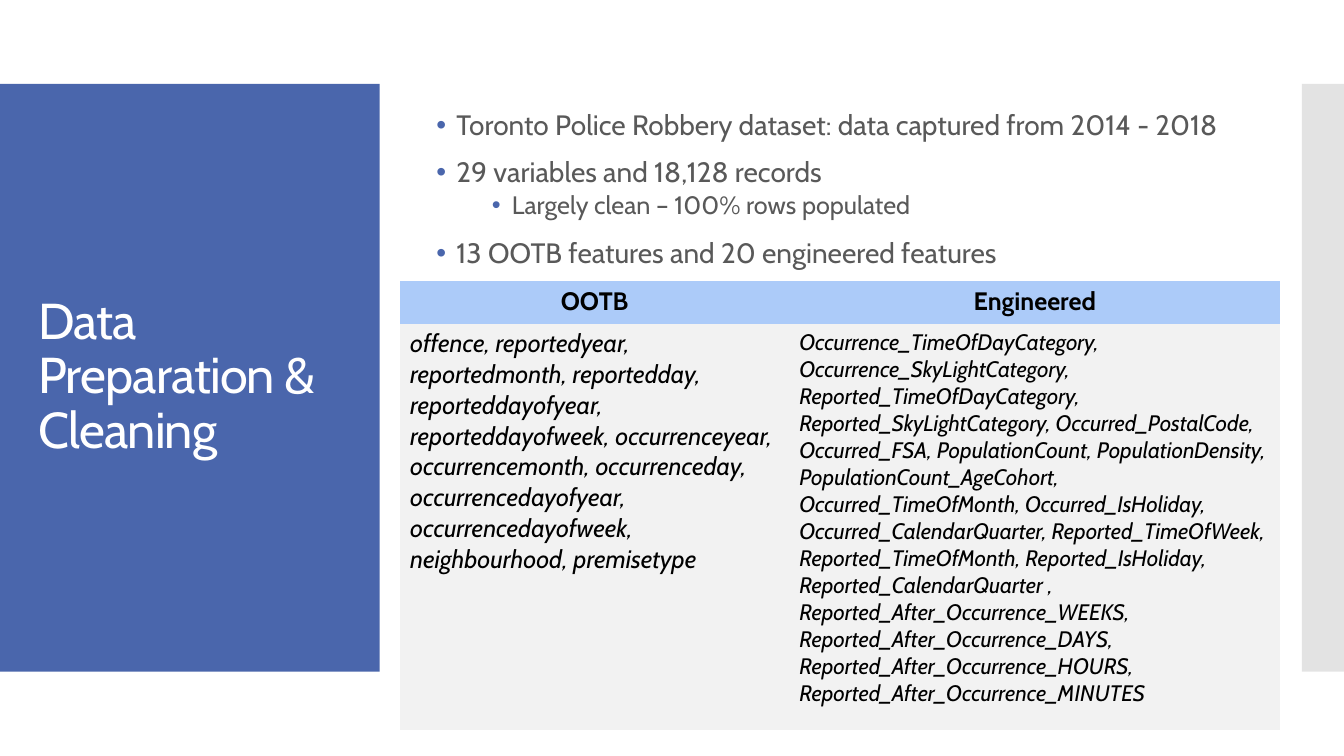
"""Build the data preparation and cleaning slide."""
from dataclasses import dataclass

from lxml import etree
from pptx import Presentation
from pptx.dml.color import RGBColor
from pptx.enum.shapes import MSO_SHAPE
from pptx.enum.text import MSO_ANCHOR, MSO_AUTO_SIZE, PP_ALIGN
from pptx.oxml.ns import qn
from pptx.util import Pt

RECTANGLE = MSO_SHAPE.RECTANGLE
MIDDLE = MSO_ANCHOR.MIDDLE
NO_AUTOFIT = MSO_AUTO_SIZE.NONE
LEFT, CENTER = PP_ALIGN.LEFT, PP_ALIGN.CENTER

FONT = "Cabin"
BLUE = RGBColor(0x4A, 0x66, 0xAC)
SIDE_GRAY = RGBColor(0xC8, 0xC8, 0xC8)
TEXT_GRAY = RGBColor(0x59, 0x59, 0x59)
HEADER_BLUE = RGBColor(0xAC, 0xCB, 0xF9)
CELL_GRAY = RGBColor(0xF2, 0xF2, 0xF2)
BLACK = RGBColor(0, 0, 0)
WHITE = RGBColor(0xFF, 0xFF, 0xFF)


@dataclass(frozen=True)
class Panel:
    left: float
    width: float
    color: RGBColor
    opacity: int = 100


@dataclass(frozen=True)
class Bullet:
    text: str
    size: float = 20
    level: int = 0
    indent: float = 14.4
    before: float = 12
    after: float = 0


@dataclass(frozen=True)
class FeatureColumn:
    heading: str
    features: str
    width: float
    size: float


PANELS = (Panel(0, 271.2, BLUE), Panel(930, 30, SIDE_GRAY, 50))

BULLETS = (
    Bullet("Toronto Police Robbery dataset: data captured from 2014 - 2018"),
    Bullet("29 variables and 18,128 records"),
    Bullet("Largely clean – 100% rows populated", 18, 1, 54, 2.5, 2.5),
    Bullet("13 OOTB features and 20 engineered features"),
)

COLUMNS = (
    FeatureColumn(
        "OOTB",
        "offence, reportedyear, reportedmonth, reportedday, reporteddayofyear, "
        "reporteddayofweek, occurrenceyear, occurrencemonth, occurrenceday, "
        "occurrencedayofyear, occurrencedayofweek, neighbourhood, premisetype",
        278, 18),
    FeatureColumn(
        "Engineered",
        "Occurrence_TimeOfDayCategory, Occurrence_SkyLightCategory, "
        "Reported_TimeOfDayCategory, Reported_SkyLightCategory, "
        "Occurred_PostalCode, Occurred_FSA, PopulationCount, PopulationDensity, "
        "PopulationCount_AgeCohort, Occurred_TimeOfMonth, Occurred_IsHoliday, "
        "Occurred_CalendarQuarter, Reported_TimeOfWeek, Reported_TimeOfMonth, "
        "Reported_IsHoliday, Reported_CalendarQuarter , "
        "Reported_After_Occurrence_WEEKS, Reported_After_Occurrence_DAYS, "
        "Reported_After_Occurrence_HOURS, Reported_After_Occurrence_MINUTES",
        350.8, 16),
)
ROW_HEIGHTS = (30.2, 290.2)


def style_span(span, size: float, color: RGBColor,
               bold: bool = False, italic: bool = False) -> None:
    font = span.font
    font.name, font.size = FONT, Pt(size)
    font.bold, font.italic = bold, italic
    font.color.rgb = color


def add_panel(page, panel: Panel) -> None:
    box = page.shapes.add_shape(
        RECTANGLE, Pt(panel.left), Pt(60), Pt(panel.width), Pt(419.8))
    box.shadow.inherit = False
    box.line.fill.background()
    box.fill.solid()
    box.fill.fore_color.rgb = panel.color
    if panel.opacity < 100:
        color = box.fill._xPr.find(f".//{qn('a:srgbClr')}")
        etree.SubElement(color, qn("a:alpha"), val=str(panel.opacity * 1000))


def place_title(page, text: str) -> None:
    title = page.shapes.title
    title.left, title.top = Pt(20.2), Pt(88.6)
    title.width, title.height = Pt(231.8), Pt(362.2)
    frame = title.text_frame
    frame.text = text
    frame.word_wrap, frame.auto_size = True, NO_AUTOFIT
    frame.vertical_anchor = MIDDLE
    para = frame.paragraphs[0]
    para.alignment, para.line_spacing = LEFT, 0.9
    span = para.runs[0]
    style_span(span, 36, WHITE)
    span.font._element.set("spc", "-60")


def format_bullet(para, bullet: Bullet) -> None:
    para.text, para.level = bullet.text, bullet.level
    para.alignment, para.line_spacing = LEFT, 0.9
    para.space_before, para.space_after = Pt(bullet.before), Pt(bullet.after)
    style_span(para.runs[0], bullet.size, TEXT_GRAY)
    settings = para._p.get_or_add_pPr()
    settings.set("marL", str(Pt(bullet.indent)))
    settings.set("indent", str(-Pt(14.4)))
    color = etree.SubElement(settings, qn("a:buClr"))
    etree.SubElement(color, qn("a:srgbClr"), val=str(BLUE))
    etree.SubElement(settings, qn("a:buFont"), typeface="Arial")
    etree.SubElement(settings, qn("a:buChar"), char="•")


def add_bullets(page, bullets: tuple[Bullet, ...]) -> None:
    box = page.shapes.add_textbox(Pt(304.6), Pt(67.7), Pt(576), Pt(162))
    frame = box.text_frame
    frame.word_wrap, frame.auto_size = True, NO_AUTOFIT
    frame.vertical_anchor = MIDDLE
    frame.margin_bottom = Pt(28.4)
    for index, bullet in enumerate(bullets):
        para = frame.add_paragraph() if index else frame.paragraphs[0]
        format_bullet(para, bullet)


def fill_cell(cell, text: str, size: float, header: bool) -> None:
    cell.fill.solid()
    cell.fill.fore_color.rgb = HEADER_BLUE if header else CELL_GRAY
    cell.text = text
    para = cell.text_frame.paragraphs[0]
    para.alignment = CENTER if header else LEFT
    style_span(para.runs[0], size, BLACK, bold=header, italic=not header)


def add_feature_table(page, columns: tuple[FeatureColumn, ...]) -> None:
    width = sum(column.width for column in columns)
    table = page.shapes.add_table(
        len(ROW_HEIGHTS), len(columns), Pt(285.8), Pt(200.9),
        Pt(width), Pt(sum(ROW_HEIGHTS))).table
    for row, height in zip(table.rows, ROW_HEIGHTS):
        row.height = Pt(height)
    for index, column in enumerate(columns):
        table.columns[index].width = Pt(column.width)
        fill_cell(table.cell(0, index), column.heading, 18, True)
        fill_cell(table.cell(1, index), column.features, column.size, False)
    style = table._tbl.tblPr.find(qn("a:tableStyleId"))
    style.text = "{2D5ABB26-0587-4C30-8999-92F81FD0307C}"


def main() -> None:
    deck = Presentation()
    deck.slide_width, deck.slide_height = Pt(960), Pt(540)
    page = deck.slides.add_slide(deck.slide_layouts.get_by_name("Title Only"))
    for panel in PANELS:
        add_panel(page, panel)
    title = page.shapes.title
    page.shapes._spTree.append(title._element)
    place_title(page, "Data Preparation & Cleaning")
    add_bullets(page, BULLETS)
    add_feature_table(page, COLUMNS)
    deck.save("out.pptx")


if __name__ == "__main__":
    main()
